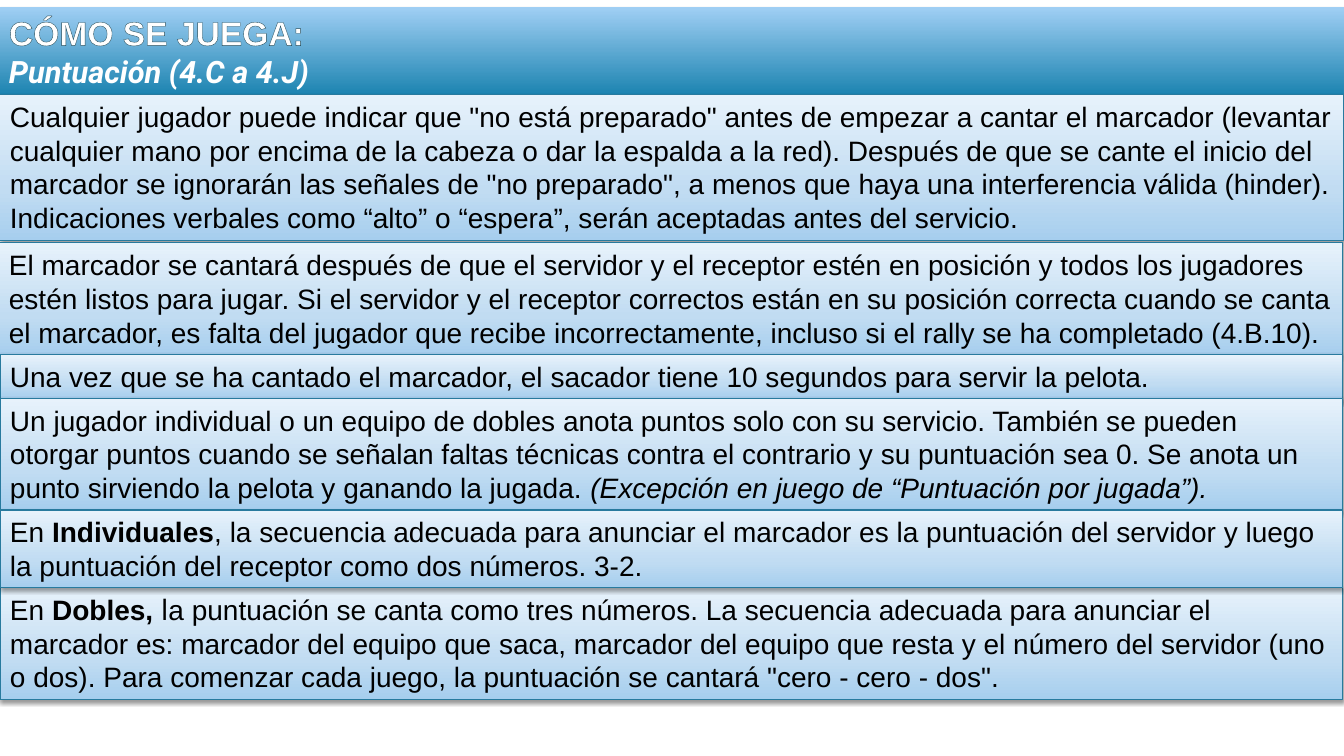
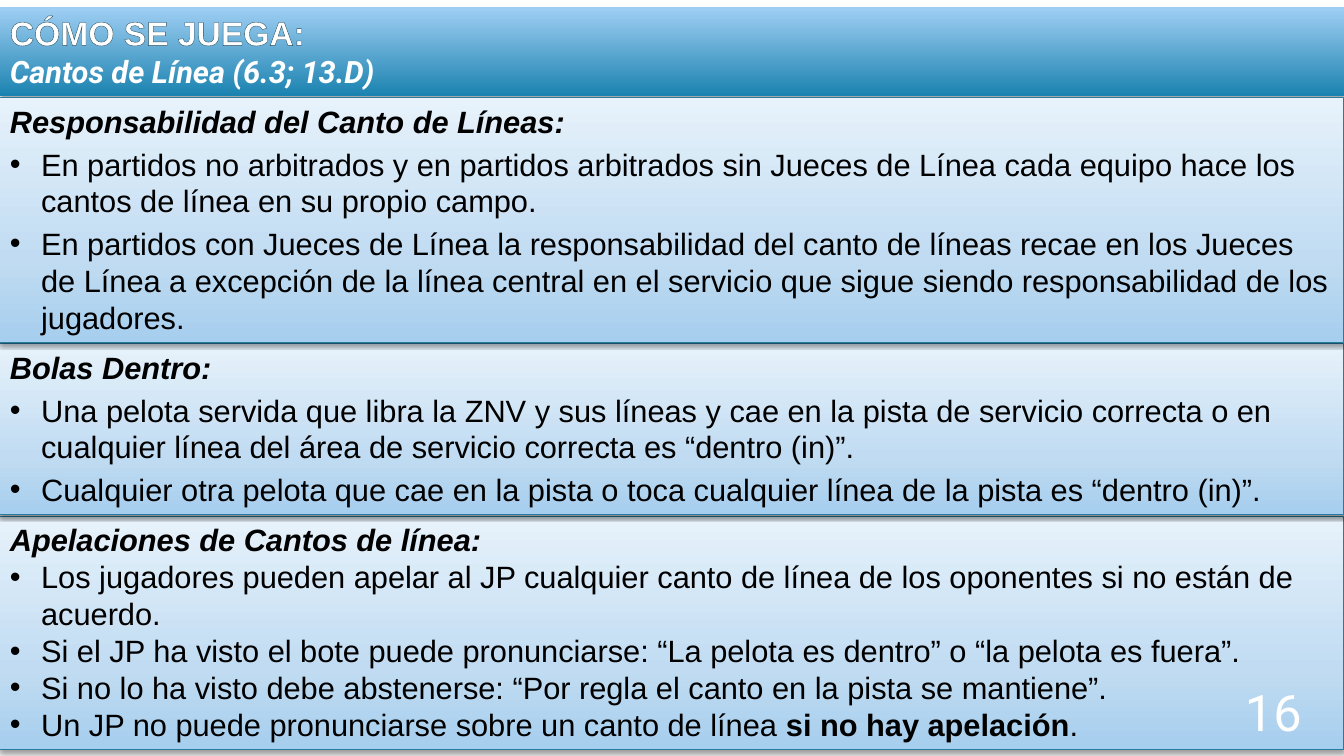
from lxml import etree
from pptx import Presentation
from pptx import util as u
from pptx.dml.color import RGBColor
from pptx.enum import shapes, text
from pptx.oxml import ns

BLACK, WHITE = "000000", "FFFFFF"
EDGE, RIM = "287A9E", "244A58"
BAND = [(0, "1B83B0"), (100, "A0CFF4")]
PANEL = [(0, "A6CEEE"), (35, "C1DCF2"), (100, "E7F2FB")]
WIDE = 13.33


def rgb(code):
    return RGBColor.from_string(code)


def node(root, tag, **attrs):
    """Append a DrawingML element with the given attributes."""
    part = etree.SubElement(root, ns.qn("a:" + tag))
    for key, value in attrs.items():
        part.set(key, str(value))
    return part


class Deck:
    def __init__(self):
        self.prs = Presentation()
        self.prs.slide_width = u.Inches(WIDE)
        self.prs.slide_height = u.Inches(7.5)
        self.slide = None

    def page(self):
        self.slide = self.prs.slides.add_slide(self.prs.slide_layouts[6])

    # Box with an upward gradient and a soft shadow
    def box(self, left, top, width, height, stops, dark, drop):
        area = [u.Inches(n) for n in (left, top, width, height)]
        box = self.slide.shapes.add_shape(shapes.MSO_SHAPE.RECTANGLE, *area)
        box.fill.gradient()
        box.fill.gradient_angle = 90
        props = box.element.spPr
        grads = props.find(".//" + ns.qn("a:gsLst"))
        grads.clear()
        for pos, code in stops:
            stop = node(grads, "gs", pos=pos * 1000)
            node(stop, "srgbClr", val=code)
        box.line.fill.background()
        box.shadow.inherit = False
        glow = node(props.find(ns.qn("a:effectLst")), "outerShdw",
                    blurRad=u.Pt(3.1), dist=u.Pt(drop), dir=5400000,
                    rotWithShape=0)
        node(node(glow, "srgbClr", val=BLACK), "alpha", val=dark * 1000)
        frame = box.text_frame
        frame.word_wrap = True
        frame.vertical_anchor = text.MSO_ANCHOR.TOP
        frame.auto_size = text.MSO_AUTO_SIZE.SHAPE_TO_FIT_TEXT
        return box

    # One paragraph, the first of a frame or a further one
    def para(self, frame, first, before=0, after=0):
        para = frame.paragraphs[0] if first else frame.add_paragraph()
        para.alignment = text.PP_ALIGN.LEFT
        para.space_before = u.Pt(before)
        para.space_after = u.Pt(after)
        return para

    # One run; style holds "b" for bold and "i" for italic
    def run(self, para, words, size, style="", face="Arial", code=BLACK):
        run = para.add_run()
        run.text = words
        font = run.font
        font.size, font.name = u.Pt(size), face
        font.bold, font.italic = "b" in style, "i" in style
        font.color.rgb = rgb(code)
        return run

    def bullet(self, para):
        props = para._p.get_or_add_pPr()
        props.set("marL", str(u.Inches(0.31)))
        props.set("indent", str(u.Inches(-0.31)))
        node(node(props, "buClr"), "srgbClr", val=BLACK)
        node(props, "buFont", typeface="Arial")
        node(props, "buChar", char="•")

    # Title band
    def head(self, topic, left=0):
        frame = self.box(left, 0.07, WIDE - 2 * left, 0.88, BAND,
                         35, 1.8).text_frame
        title = self.run(self.para(frame, True), "CÓMO SE JUEGA:", 24, "b",
                         code=WHITE)
        props = title.font._element
        rim = node(props, "ln", w=u.Pt(0.52))
        node(node(rim, "solidFill"), "srgbClr", val=RIM)
        props.insert(0, rim)
        self.run(self.para(frame, False), topic, 22, "bi", "Roboto", WHITE)

    def panel(self, top, height, left=0, width=WIDE):
        box = self.box(left, top, width, height, PANEL, 38, 1.6)
        box.line.color.rgb = rgb(EDGE)
        box.line.width = u.Pt(0.75)
        return box.text_frame

    # Panel with a single paragraph of rule text
    def rule(self, top, height, runs, left=0, width=13.32, before=0):
        frame = self.panel(top, height, left, width)
        para = self.para(frame, True, before)
        for run in runs:
            self.run(para, run[0], 20, *run[1:])

    # Panel with a heading and bullets
    def topic(self, top, height, name, items, after=0):
        frame = self.panel(top, height)
        self.run(self.para(frame, True, after=after), name, 22, "bi")
        for runs in items:
            para = self.para(frame, False, after=after)
            self.bullet(para)
            for run in runs:
                self.run(para, run[0], 22, *run[1:])

    # Page number
    def number(self, words):
        area = [u.Inches(n) for n in (12.29, 6.71, 0.67, 0.7)]
        frame = self.slide.shapes.add_textbox(*area).text_frame
        frame.word_wrap = True
        frame.vertical_anchor = text.MSO_ANCHOR.MIDDLE
        frame.margin_left = frame.margin_right = u.Inches(0.05)
        para = self.para(frame, True)
        para.alignment = text.PP_ALIGN.RIGHT
        self.run(para, words, 36, face="Roboto", code=WHITE)


def score(deck):
    deck.page()
    deck.head("Puntuación (4.C a 4.J)", -0.01)
    deck.rule(0.94, 1.45, [(
        'Cualquier jugador puede indicar que "no está preparado" antes de '
        "empezar a cantar el marcador (levantar cualquier mano por encima de "
        "la cabeza o dar la espalda a la red). Después de que se cante el "
        "inicio del marcador se ignorarán las señales de "
        '"no preparado", a menos que haya una interferencia válida (hinder). '
        "Indicaciones verbales como “alto” o “espera”, serán aceptadas antes "
        "del servicio.",)], width=WIDE, before=4)
    deck.rule(2.41, 1.11, [(
        "El marcador se cantará después de que el servidor y el receptor "
        "estén en posición y todos los jugadores estén listos para jugar. Si "
        "el servidor y el receptor correctos están en su posición correcta "
        "cuando se canta el marcador, es falta del jugador que recibe "
        "incorrectamente, incluso si el rally se ha completado (4.B.10).",)],
        left=-0.01, width=WIDE)
    deck.rule(3.52, 0.44, [(
        "Una vez que se ha cantado el marcador, el sacador tiene 10 segundos "
        "para servir la pelota.",)])
    deck.rule(3.95, 1.11, [
        ("Un jugador individual o un equipo de dobles anota puntos solo con "
         "su servicio. También se pueden otorgar puntos cuando se señalan "
         "faltas técnicas contra el contrario y su puntuación sea 0. Se anota "
         "un punto sirviendo la pelota y ganando la jugada. ",),
        ("(Excepción en juego de “Puntuación por jugada”).", "i")])
    # Doubles lies beneath the shadow of singles
    deck.rule(5.83, 1.11, [
        ("En ",), ("Dobles, ", "b"), ("l", "", "Noto Sans"),
        ("a puntuación se canta como tres números. La secuencia adecuada para "
         "anunciar el marcador es: marcador del equipo que saca, marcador del "
         "equipo que resta y el número del servidor (uno o dos). Para "
         "comenzar cada juego, la puntuación se cantará "
         '"cero - cero - dos".',)])
    deck.rule(5.06, 0.77, [
        ("En ",), ("Individuales", "b"),
        (", la secuencia adecuada para anunciar el marcador es la puntuación "
         "del servidor y luego la puntuación del receptor como dos números. "
         "3-2.",)])


def calls(deck):
    deck.page()
    # Lower panels first, so that each shadow falls on the next one
    deck.topic(5.12, 2.32, "Apelaciones de Cantos de línea:", [
        [("Los jugadores pueden apelar al JP cualquier canto de línea de los "
          "oponentes si no están de acuerdo.",)],
        [("Si el JP ha visto el bote puede pronunciarse: “La pelota es "
          "dentro” o “la pelota es fuera”.",)],
        [("Si no lo ha visto debe abstenerse: “Por regla el canto en la pista "
          "se mantiene”.",)],
        [("Un JP no puede pronunciarse sobre un canto de línea ",),
         ("si no hay apelación", "b"), (".",)]])
    deck.number("16")
    deck.head("Cantos de Línea (6.3; 13.D)")
    deck.topic(3.41, 1.69, "Bolas Dentro:", [
        [("Una pelota servida que libra la ZNV y sus líneas y cae en la pista "
          "de servicio correcta o en cualquier línea del área de servicio "
          "correcta es “dentro (in)”.",)],
        [("Cualquier otra pelota que cae en la pista o toca cualquier línea "
          "de la pista es “dentro (in)”.",)]], after=4)
    deck.topic(0.97, 2.43, "Responsabilidad del Canto de Líneas:", [
        [("En partidos no arbitrados y en partidos arbitrados sin Jueces de "
          "Línea cada equipo hace los cantos de línea en su propio campo.",)],
        [("En partidos con Jueces de Línea la responsabilidad del canto de "
          "líneas recae en los Jueces de Línea a excepción de la línea "
          "central en el servicio que sigue siendo responsabilidad de los "
          "jugadores.",)]], after=4)


def main():
    deck = Deck()
    score(deck)
    calls(deck)
    deck.prs.save("out.pptx")


if __name__ == "__main__":
    main()
